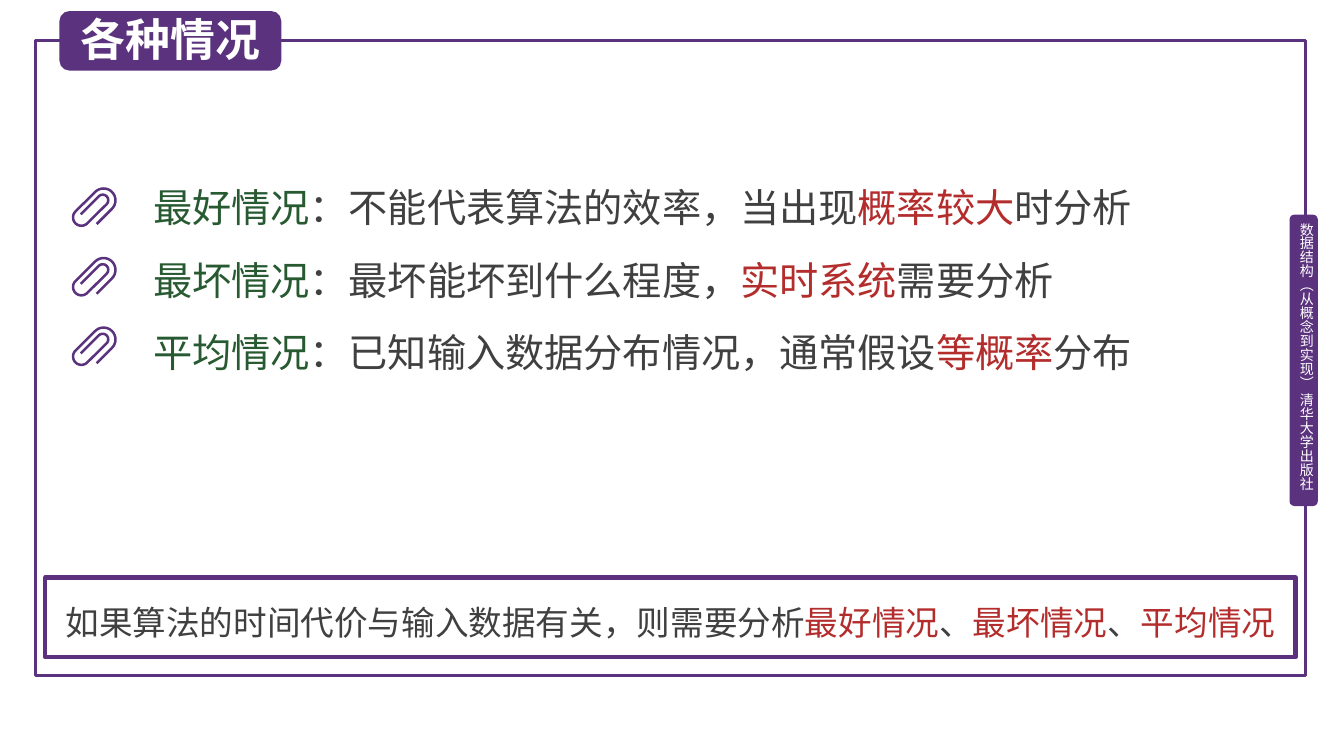
from math import cos, sin, radians, sqrt
from lxml.etree import SubElement
from pptx import Presentation
from pptx.dml.color import RGBColor
from pptx.enum.shapes import MSO_SHAPE as Shape
from pptx.enum.text import MSO_ANCHOR as Anchor, MSO_AUTO_SIZE as Fit, PP_ALIGN as Align
from pptx.oxml.ns import qn
from pptx.util import Inches, Pt

SANS, SERIF = "Noto Sans CJK SC", "Times New Roman"
PURPLE, WHITE, GRAY, GREEN, RED = "5A327D", "FFFFFF", "404040", "285A32", "B42D2D"

CASES = [
    [("最好情况", GREEN, SERIF), ("：不能代表算法的效率，当出现", GRAY),
     ("概率较大", RED), ("时分析", GRAY)],
    [("最坏情况", GREEN, SERIF), ("：最坏能坏到什么程度，", GRAY),
     ("实时系统", RED), ("需要分析", GRAY)],
    [("平均情况", GREEN), ("：已知输入数据分布情况，通常假设", GRAY),
     ("等概率", RED), ("分布", GRAY)],
]
SUMMARY = [("如果算法的时间代价与输入数据有关，则需要分析", GRAY), ("最好情况", RED),
           ("、", GRAY), ("最坏情况", RED), ("、", GRAY), ("平均情况", RED)]

# Clip turns in 1/100 inch: centre along and across the clip, radius, start and end angle
TURNS = [(-7.4, 32.2, 11.8, 90, 90), (14.1, 32.2, 11.8, 90, -90),
         (-13.4, 28.6, 8.3, -90, -270), (13.6, 31.5, 5.5, -270, -450),
         (-11.7, 31.5, 5.5, -450, -450)]
HALF = 1.25
STEPS = 16


def color(code):
    return RGBColor.from_string(code)


def inch(*box):
    return [Inches(n) for n in box]


def paint(shape, fill=None, line=None, width=0):
    shape.shadow.inherit = False
    if fill:
        shape.fill.solid()
        shape.fill.fore_color.rgb = color(fill)
    else:
        shape.fill.background()
    if line:
        shape.line.color.rgb = color(line)
        shape.line.width = Pt(width)
    else:
        shape.line.fill.background()


def panel(slide, kind, box, **look):
    shape = slide.shapes.add_shape(kind, *inch(*box))
    paint(shape, **look)
    return shape


def write(frame, runs, size, align=Align.LEFT, bold=False):
    para = frame.paragraphs[0]
    para.alignment = align
    for text, code, *face in runs:
        run = para.add_run()
        run.text = text
        font = run.font
        font.size, font.bold = Pt(size), bold
        font.color.rgb = color(code)
        font.name = face[0] if face else SANS
        SubElement(run._r.get_or_add_rPr(), qn("a:ea"), typeface=SANS)
    return para


def label(slide, box, runs, size):
    frame = slide.shapes.add_textbox(*inch(*box)).text_frame
    frame.word_wrap = True
    write(frame, runs, size)
    return frame


def edge(side):
    """Points along one side of the clip wire, in 1/100 inch."""
    for along, across, radius, start, end in TURNS:
        steps = STEPS if start != end else 0
        for i in range(steps + 1):
            turn = radians(start + (end - start) * i / max(steps, 1))
            u = along + (radius + side) * cos(turn)
            v = across + (radius + side) * sin(turn)
            yield (u + v) / sqrt(2), (v - u) / sqrt(2)


def clip(slide, left, top):
    wire = list(edge(HALF)) + list(edge(-HALF))[::-1]
    dots = [inch(left + x / 100, top + y / 100) for x, y in wire]
    pen = slide.shapes.build_freeform(*dots[0])
    pen.add_line_segments(dots[1:], close=True)
    paint(pen.convert_to_shape(), fill=PURPLE)


def spine(slide, box):
    left, top, width, height = box
    panel(slide, Shape.ROUNDED_RECTANGLE, box, fill=PURPLE)
    inner = (left + 0.08, top + 0.08, 0.17, height - 0.08)
    frame = label(slide, inner, [("数据结构（从概念到实现） 清华大学出版社", WHITE)], 10)
    frame.margin_left = frame.margin_right = frame.margin_top = frame.margin_bottom = 0
    frame._txBody.bodyPr.set("vert", "eaVert")


def heading(slide, box):
    left, top, width, height = box
    panel(slide, Shape.ROUNDED_RECTANGLE, box, fill=PURPLE)
    title = slide.shapes.title
    slide.shapes._spTree.append(title._element)
    title.left, title.top, title.width, title.height = inch(
        left + 0.11, top - 0.04, 2.03, height + 0.05)
    frame = title.text_frame
    frame.auto_size, frame.word_wrap = Fit.NONE, False
    frame.vertical_anchor = Anchor.TOP
    write(frame, [("各种情况", WHITE)], 32, bold=True)


def cases(slide, box):
    left, top, width, height = box
    for i, runs in enumerate(CASES):
        label(slide, (left + 0.72, top + 0.72 * i, width - 0.72, 0.57), runs, 28)
        clip(slide, left, top + 0.09 + 0.69 * i)


def summary(slide, box):
    shape = panel(slide, Shape.RECTANGLE, box, line="5C307D", width=3)
    frame = shape.text_frame
    frame.word_wrap, frame.vertical_anchor = True, Anchor.MIDDLE
    write(frame, SUMMARY, 24, Align.CENTER).line_spacing = Pt(35)


def main():
    deck = Presentation()
    deck.slide_width, deck.slide_height = inch(13.33, 7.5)
    slide = deck.slides.add_slide(deck.slide_layouts[5])
    slide.background.fill.solid()
    slide.background.fill.fore_color.rgb = color(WHITE)
    panel(slide, Shape.RECTANGLE, (0.35, 0.4, 12.6, 6.3), line=PURPLE, width=2.25)
    spine(slide, (12.79, 2.13, 0.28, 2.89))
    heading(slide, (0.59, 0.11, 2.2, 0.59))
    cases(slide, (0.7, 1.77, 11.65, 2))
    summary(slide, (0.45, 5.73, 12.4, 0.79))
    deck.save("out.pptx")


if __name__ == "__main__":
    main()
